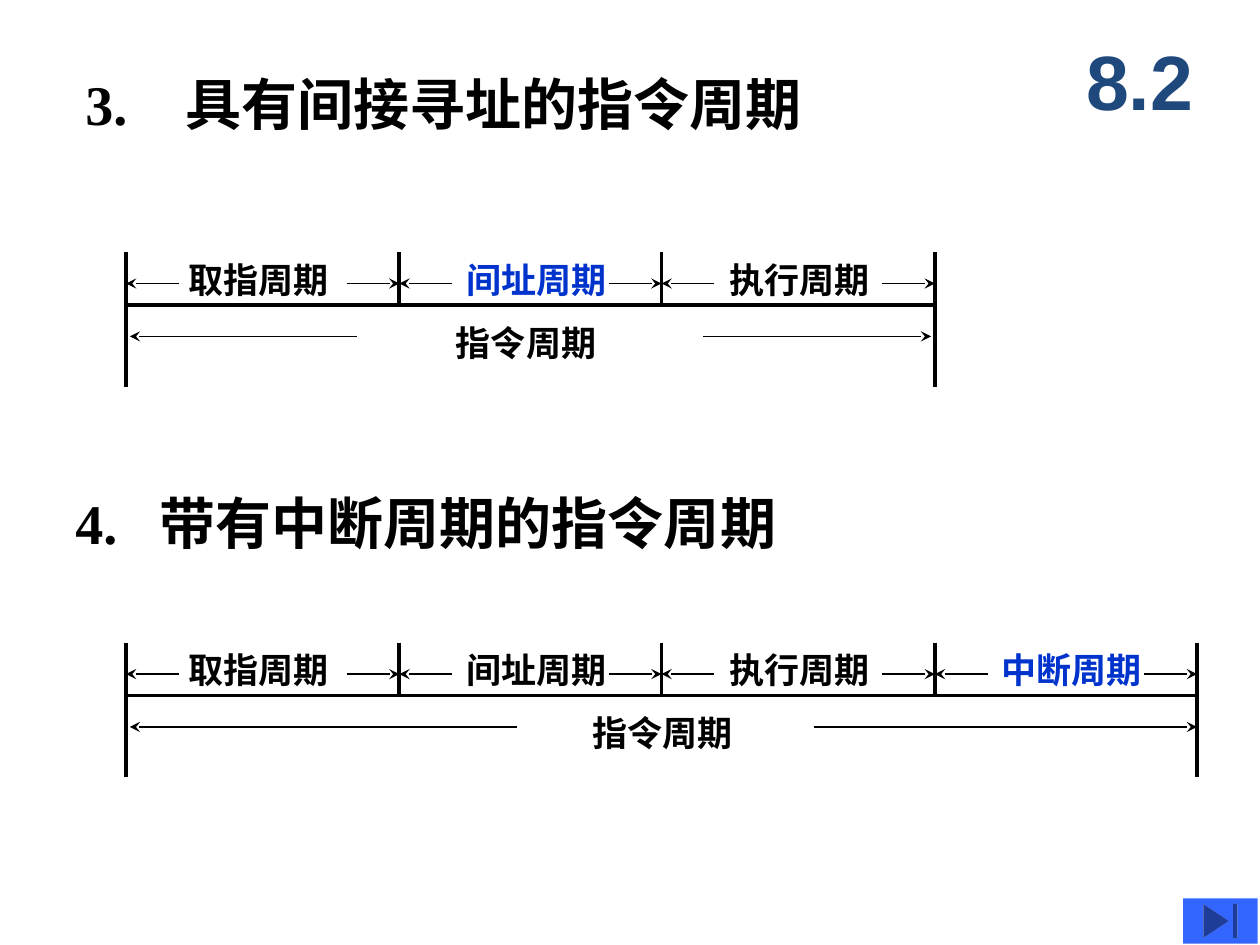
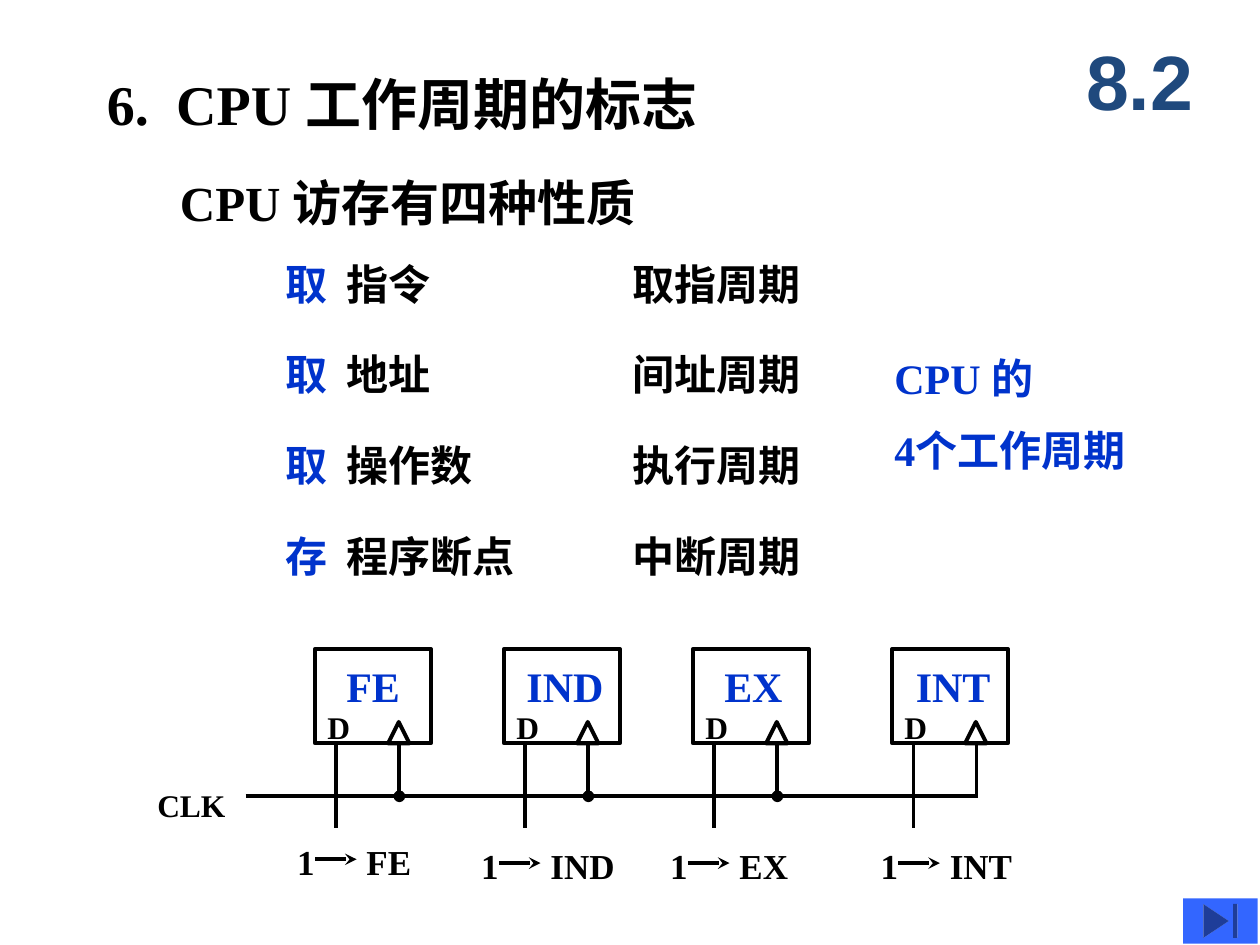
"""Build two slides on instruction cycles and the CPU work-cycle flags."""
from lxml import etree
from pptx import Presentation
from pptx.dml.color import RGBColor
from pptx.enum.shapes import MSO_CONNECTOR, MSO_SHAPE
from pptx.enum.text import MSO_ANCHOR, PP_ALIGN
from pptx.oxml.ns import qn
from pptx.util import Inches, Pt

BLACK = RGBColor(0x00, 0x00, 0x00)
BLUE = RGBColor(0x00, 0x33, 0xCC)
NAVY = RGBColor(0x1F, 0x49, 0x7D)
BUTTON_BLUE = RGBColor(0x33, 0x66, 0xFF)
SERIF = "Times New Roman"
SANS = "Arial"
STRAIGHT = MSO_CONNECTOR.STRAIGHT
RECTANGLE = MSO_SHAPE.RECTANGLE
TRIANGLE = MSO_SHAPE.ISOSCELES_TRIANGLE
END_BUTTON = MSO_SHAPE.ACTION_BUTTON_END
CENTER = PP_ALIGN.CENTER
MIDDLE = MSO_ANCHOR.MIDDLE
THICK, THIN = 2.25, 0.75


def write(para, text, size=20, color=BLACK, font=SERIF):
    """Add one bold span of text to a paragraph."""
    span = para.add_run()
    span.text = text
    span.font.name = font
    span.font.size = Pt(size)
    span.font.bold = True
    span.font.color.rgb = color


class Page:
    """One slide with the lecture style and a method for each element."""

    def __init__(self, deck, section):
        self.shapes = deck.slides.add_slide(deck.slide_layouts[6]).shapes
        self.section = section

    def box(self, left, top, width, height, wrap=True):
        """Add an empty text box and return its frame."""
        frame = self.shapes.add_textbox(
            Inches(left), Inches(top), Inches(width), Inches(height)).text_frame
        frame.word_wrap = wrap
        return frame

    def label(self, text, left, top, width, height=0.43, wrap=False, **style):
        """Add a text box with one paragraph."""
        para = self.box(left, top, width, height, wrap).paragraphs[0]
        write(para, text, **style)
        return para

    def tabbed(self, lead, text, left, top, width, height, tab, size, lead_color=BLACK):
        """Add a lead and a text that starts at a tab stop."""
        para = self.label(lead, left, top, width, height, True, size=size, color=lead_color)
        write(para, "\t" + text, size=size)
        stops = etree.SubElement(para._p.get_or_add_pPr(), qn("a:tabLst"))
        etree.SubElement(stops, qn("a:tab"), pos=str(Inches(tab)), algn="l")

    def title(self, number, text, left, top, tab):
        """Add a numbered heading."""
        self.tabbed(number, text, left, top, 6.25, 0.63, tab, 32)

    def line(self, x1, y1, x2, y2, weight=THICK, tail=None):
        """Add a straight line, with an end mark if asked."""
        line = self.shapes.add_connector(
            STRAIGHT, Inches(x1), Inches(y1), Inches(x2), Inches(y2))
        line.line.color.rgb = BLACK
        line.line.width = Pt(weight)
        properties = line._element.spPr
        if tail:
            etree.SubElement(properties.find(qn("a:ln")), qn("a:tailEnd"), type=tail)
        etree.SubElement(properties, qn("a:effectLst"))

    def arrow(self, start, end, y, weight=THIN):
        """Add a horizontal arrow."""
        self.line(start, y, end, y, weight, "stealth")

    def outline(self, kind, left, top, width, height):
        """Add an unfilled preset shape."""
        shape = self.shapes.add_shape(
            kind, Inches(left), Inches(top), Inches(width), Inches(height))
        shape.shadow.inherit = False
        shape.fill.background()
        shape.line.color.rgb = BLACK
        shape.line.width = Pt(THICK)

    def furniture(self):
        """Add the section number and the end button."""
        frame = self.box(8.42, 0.17, 1.25, 0.92)
        frame.vertical_anchor = MIDDLE
        frame.paragraphs[0].alignment = CENTER
        write(frame.paragraphs[0], self.section, 44, NAVY, SANS)
        button = self.shapes.add_shape(
            END_BUTTON, Inches(9.39), Inches(7.13), Inches(0.59), Inches(0.36))
        button.shadow.inherit = False
        button.fill.solid()
        button.fill.fore_color.rgb = BUTTON_BLUE
        button.line.fill.background()

    def timeline(self, top, count, highlight, label_left, inner, arrow_end):
        """Add a bar of stages under one instruction cycle."""
        start, end = EDGES[0], EDGES[count]
        self.line(start, top + 0.42, end, top + 0.42)
        for edge in EDGES[:count + 1]:
            height = 1.07 if edge in (start, end) else 0.42
            self.line(edge, top, edge, top + height)
        for index, (name, left) in enumerate(STAGES[:count]):
            self.label(name, left, top, 1.32, color=BLUE if index == highlight else BLACK)
            near, far = EDGES[index:index + 2]
            self.arrow(near + 0.42, near, top + 0.25)
            self.arrow(far - 0.42, far, top + 0.25)
        self.label("指令周期", label_left, top + 0.5, 1.32)
        self.arrow(inner[0], start + 0.03, top + 0.67)
        self.arrow(inner[1], arrow_end, top + 0.67)

    def flip_flop(self, name, left, name_left, name_width, clock_tail):
        """Add a flag register with its data and clock inputs."""
        self.label(name, name_left, 5.19, name_width, 0.5, size=24, color=BLUE)
        self.outline(RECTANGLE, left, 5.15, 0.92, 0.75)
        self.label("D", left, 5.57, 0.38, 0.4, size=18)
        self.outline(TRIANGLE, left + 0.58, 5.73, 0.17, 0.17)
        self.line(left + 0.17, 5.9, left + 0.17, 6.57)
        self.line(left + 0.67, 5.9, left + 0.67, 6.32, tail=clock_tail)

    def load(self, name, left, top, width):
        """Add the note that sets a flag to one."""
        self.label("1", left, top, 0.34)
        self.arrow(left + 0.24, left + 0.57, top + 0.2, THICK)
        self.label(name, left + 0.55, top, width)


EDGES = [1, 3.17, 5.25, 7.42, 9.5]
STAGES = [("取指周期", 1.4), ("间址周期", 3.6), ("执行周期", 5.69), ("中断周期", 7.85)]
ACCESSES = [("取", "指令"), ("取", "地址"), ("取", "操作数"), ("存", "程序断点")]
FLAGS = [
    ("FE", 2.5, 2.65, 0.63, 2.26, 6.62, 0.56),
    ("IND", 4, 4.08, 0.81, 3.72, 6.65, 0.71),
    ("EX", 5.5, 5.65, 0.66, 5.22, 6.65, 0.59),
    ("INT", 7.08, 7.17, 0.8, 6.89, 6.65, 0.7),
]


def cycles_slide(deck):
    """Build the slide with the two cycle timelines."""
    page = Page(deck, "8.2")
    page.title("3.", "具有间接寻址的指令周期", 0.58, 0.5, 0.79)
    page.title("4.", "带有中断周期的指令周期", 0.5, 3.83, 0.67)
    page.timeline(2, 3, 1, 3.52, (2.83, 5.58), 7.39)
    page.timeline(5.1, 4, 3, 4.6, (4.1, 6.46), 9.5)
    page.furniture()


def flags_slide(deck):
    """Build the slide with the memory accesses and the flag registers."""
    page = Page(deck, "8.2")
    page.title("6.", "CPU 工作周期的标志", 0.75, 0.5, 0.55)
    page.label("CPU 访存有四种性质", 1.33, 1.32, 5.83, 0.57, True, size=28)
    for index, ((verb, target), (cycle, _)) in enumerate(zip(ACCESSES, STAGES)):
        top = 2 + 0.72 * index
        page.tabbed(verb, target, 2.17, top, 2.42, 0.5, 0.48, 24, BLUE)
        page.label(cycle, 4.92, top, 2.42, 0.5, True, size=24)
    frame = page.box(7, 2.75, 2.9, 1.11)
    write(frame.paragraphs[0], "CPU 的", 24, BLUE)
    para = frame.add_paragraph()
    para.space_before = Pt(12)
    write(para, "4个工作周期", 24, BLUE)

    page.label("CLK", 1.15, 6.19, 0.74, 0.4, size=18)
    page.line(1.95, 6.32, 7.76, 6.32)
    for name, left, name_left, name_width, load_left, load_top, load_width in FLAGS:
        clock_tail = None if name == "INT" else "oval"
        page.flip_flop(name, left, name_left, name_width, clock_tail)
        page.load(name, load_left, load_top, load_width)
    page.furniture()


deck = Presentation()
deck.slide_width, deck.slide_height = Inches(10), Inches(7.5)
cycles_slide(deck)
flags_slide(deck)
deck.save("out.pptx")
